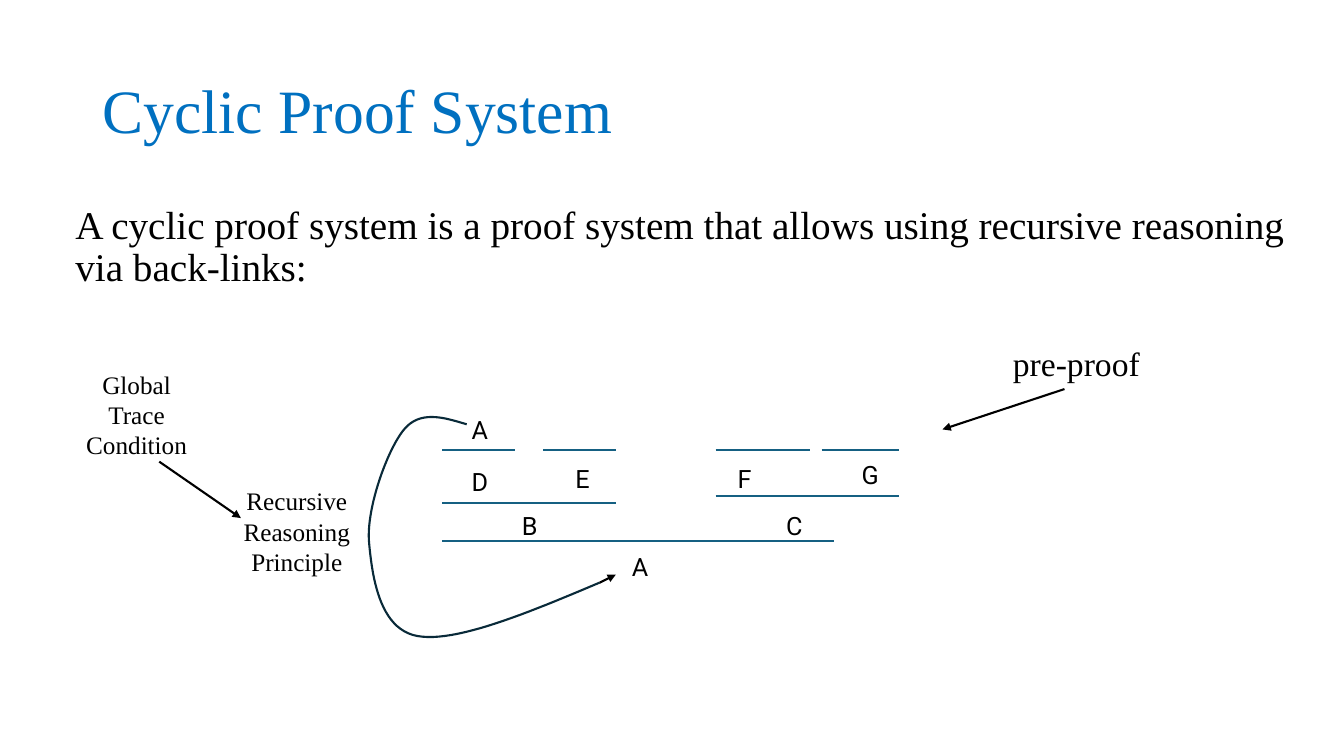
from dataclasses import dataclass

import lxml.etree
import pptx
import pptx.dml.color
import pptx.enum.shapes
import pptx.enum.text
import pptx.oxml.ns
import pptx.util

# Grid of tenth-inch cells; every place is given as (column, row).
CELL = pptx.util.Inches(0.1)
COLUMNS, ROWS = 133.33, 75
COLORS = {"title": "0070C0", "text": "000000", "inference": "156082",
          "back_link": "092A39", "arrow": "000000"}
SERIF, SANS = "Times New Roman", "Roboto"
LINE_WIDTH = pptx.util.Pt(1.5)
CURVE_STEPS = 24
LETTER_HEIGHT = 4

Point = tuple[float, float]
Align = pptx.enum.text.PP_ALIGN
Anchor = pptx.enum.text.MSO_ANCHOR


@dataclass
class Label:
    paragraphs: list[str]
    column: float
    row: float
    width: float
    height: float
    size: float = 18
    font: str = SERIF
    color: str = "text"
    align: Align = Align.LEFT
    anchor: Anchor = Anchor.TOP
    wrap: bool = True
    grow: bool = True
    line_spacing: float = 1.0
    space_before: float = 0


@dataclass
class Formula:
    letter: str
    column: float
    row: float
    width: float = 3.5


@dataclass
class Inference:
    left: float
    right: float
    row: float


@dataclass
class Arrow:
    start: Point
    end: Point


HEADING = Label(["Cyclic Proof System"], 9.2, 4, 115, 14.5, size=44, color="title",
                anchor=Anchor.MIDDLE, grow=False, line_spacing=0.9)
DEFINITION = Label(
    ["A cyclic proof system is a proof system that allows using recursive reasoning "
     "via back-links:"],
    6.5, 19.9, 123.4, 47.6, size=28, grow=False, line_spacing=0.9, space_before=10)
ANNOTATIONS = [
    Label(["Recursive\nReasoning\nPrinciple"], 23.1, 47.7, 12.7, 10.1,
          align=Align.CENTER, wrap=False),
    Label(["pre-proof"], 99.5, 33.5, 14.7, 5, size=24, wrap=False),
    Label(["Global", "Trace\nCondition"], 7.5, 36.1, 12.1, 10.1,
          align=Align.CENTER, wrap=False),
]
INFERENCES = [
    Inference(43.9, 82.7, 53.7),
    Inference(43.9, 61.1, 49.9),
    Inference(71, 89.2, 49.2),
    Inference(71, 80.4, 44.6),
    Inference(81.5, 89.2, 44.6),
    Inference(53.9, 61.1, 44.6),
    Inference(43.9, 51.1, 44.6),
]
FORMULAS = [
    Formula("A", 61.7, 54.2),
    Formula("A", 45.8, 40.6),
    Formula("D", 45.8, 45.8, 3.8),
    Formula("B", 50.8, 50.1),
    Formula("C", 77, 50.1, 3.8),
    Formula("F", 72.2, 45.5, 3.4),
    Formula("G", 84.5, 45.1, 3.8),
    Formula("E", 56.1, 45.5),
]
BACK_LINK_START = (46.3, 42.1)
BACK_LINK_CURVES = [
    ((44, 41.4), (41.7, 40.7), (40.1, 42.6)),
    ((38.5, 44.5), (36.4, 50.2), (36.6, 53.6)),
    ((36.9, 57.1), (37.6, 62.4), (41.4, 63.1)),
    ((45.2, 63.8), (52.4, 60.8), (59.5, 57.8)),
]
ARROWS = [
    Arrow(BACK_LINK_CURVES[-1][-1], (61.1, 57)),
    Arrow((105.6, 38.6), (93.5, 42.6)),
    Arrow((15.8, 45.8), (23.9, 51.4)),
]


def emu(cells: float) -> int:
    return round(cells * CELL)


def rgb(name: str) -> pptx.dml.color.RGBColor:
    return pptx.dml.color.RGBColor.from_string(COLORS[name])


def draw_label(slide, label: Label) -> None:
    box = slide.shapes.add_textbox(emu(label.column), emu(label.row),
                                   emu(label.width), emu(label.height))
    frame = box.text_frame
    frame.word_wrap = label.wrap
    frame.vertical_anchor = label.anchor
    auto_size = pptx.enum.text.MSO_AUTO_SIZE
    frame.auto_size = auto_size.SHAPE_TO_FIT_TEXT if label.grow else auto_size.NONE
    for index, wording in enumerate(label.paragraphs):
        paragraph = frame.add_paragraph() if index else frame.paragraphs[0]
        paragraph.text = wording
        paragraph.alignment = label.align
        paragraph.line_spacing = label.line_spacing
        paragraph.space_before = pptx.util.Pt(label.space_before)
        for run in paragraph.runs:
            run.font.size = pptx.util.Pt(label.size)
            run.font.name = label.font
            run.font.color.rgb = rgb(label.color)


def draw_line(slide, start: Point, end: Point, color: str, head: bool = False) -> None:
    line = slide.shapes.add_connector(pptx.enum.shapes.MSO_CONNECTOR.STRAIGHT,
                                      *map(emu, start + end))
    line.line.color.rgb = rgb(color)
    line.line.width = LINE_WIDTH
    qn = pptx.oxml.ns.qn
    properties = line.element.spPr
    if head:
        lxml.etree.SubElement(properties.find(qn("a:ln")), qn("a:tailEnd"), type="triangle")
    lxml.etree.SubElement(properties, qn("a:effectLst"))


def bezier_points(start: Point, first: Point, second: Point, end: Point) -> list[Point]:
    """Sample a cubic curve at equal steps, leaving out its start."""
    points = []
    for step in range(1, CURVE_STEPS + 1):
        t = step / CURVE_STEPS
        weights = ((1 - t) ** 3, 3 * t * (1 - t) ** 2, 3 * t ** 2 * (1 - t), t ** 3)
        x, y = (sum(w * c for w, c in zip(weights, axis))
                for axis in zip(start, first, second, end))
        points.append((x, y))
    return points


def draw_back_link(slide) -> None:
    points = [BACK_LINK_START]
    for curve in BACK_LINK_CURVES:
        points += bezier_points(points[-1], *curve)
    (start_x, start_y), *rest = [(emu(x), emu(y)) for x, y in points]
    builder = slide.shapes.build_freeform(start_x, start_y)
    builder.add_line_segments(rest, close=False)
    back_link = builder.convert_to_shape()
    back_link.shadow.inherit = False
    back_link.fill.background()
    back_link.line.color.rgb = rgb("back_link")
    back_link.line.width = LINE_WIDTH


def main() -> None:
    deck = pptx.Presentation()
    deck.slide_width, deck.slide_height = emu(COLUMNS), emu(ROWS)
    slide = deck.slides.add_slide(deck.slide_layouts[6])
    draw_label(slide, HEADING)
    draw_label(slide, DEFINITION)
    for inference in INFERENCES:
        draw_line(slide, (inference.left, inference.row),
                  (inference.right, inference.row), "inference")
    for formula in FORMULAS:
        draw_label(slide, Label([formula.letter], formula.column, formula.row,
                                formula.width, LETTER_HEIGHT, font=SANS))
    draw_back_link(slide)
    for annotation in ANNOTATIONS:
        draw_label(slide, annotation)
    for arrow in ARROWS:
        draw_line(slide, arrow.start, arrow.end, "arrow", head=True)
    deck.save("out.pptx")


if __name__ == "__main__":
    main()
